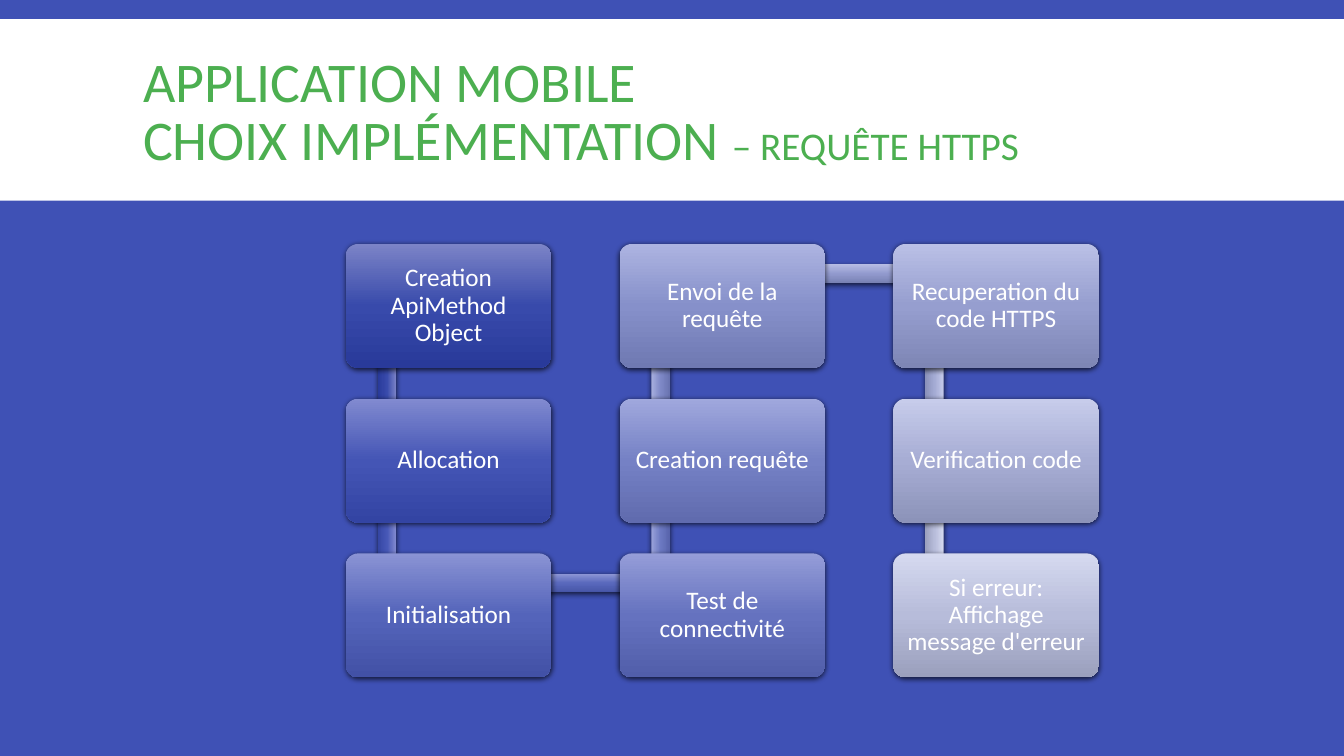
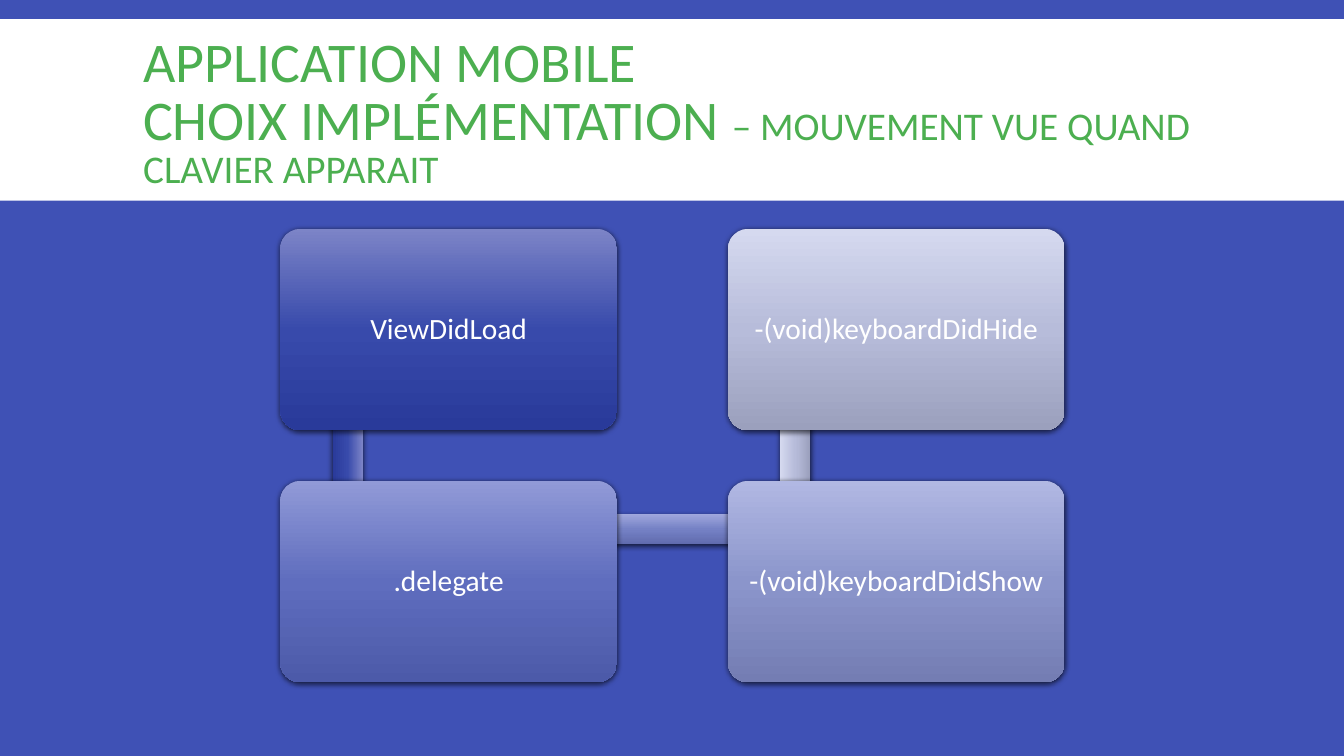
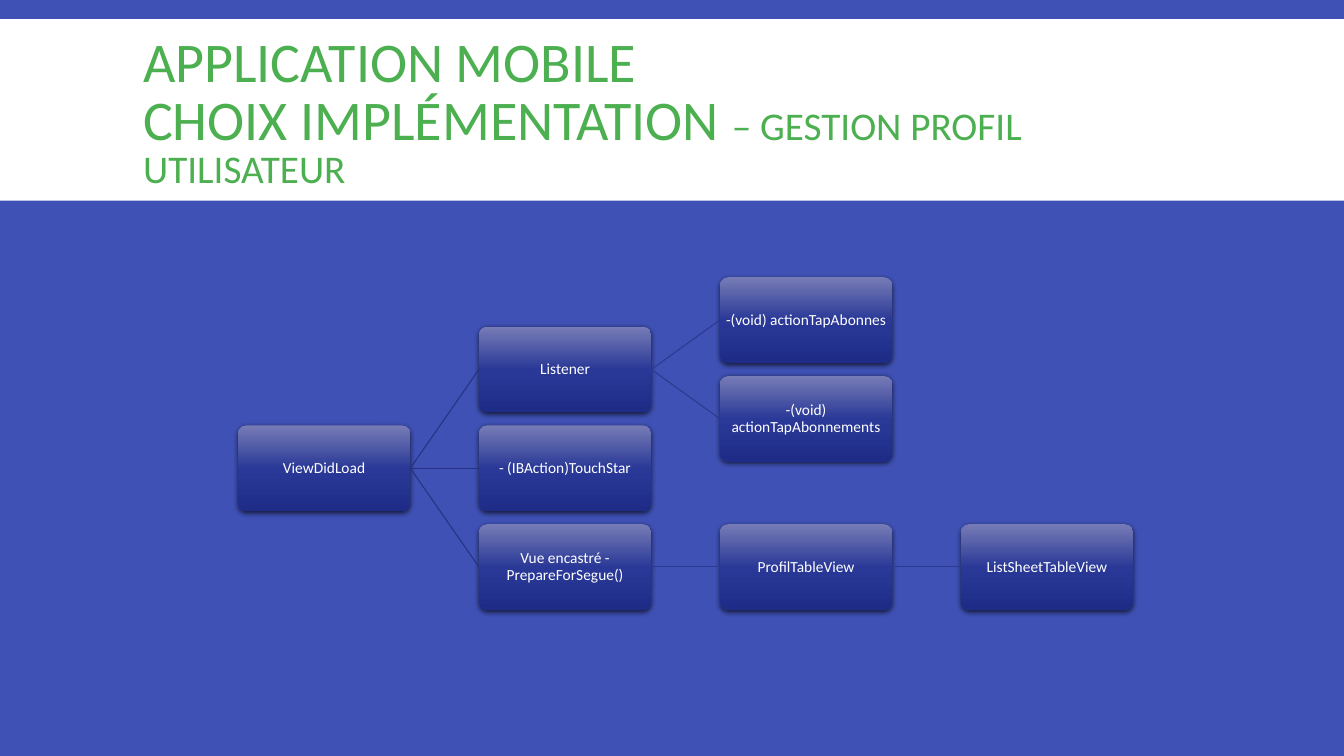
"""Three slides on the choices made in a mobile application."""
import copy
import math

from lxml import etree
from pptx import Presentation
from pptx import util as u
from pptx.dml.color import RGBColor
from pptx.enum import shapes, text
from pptx.oxml.ns import qn

FONT = "Calibri"
COLORS = {
    "background": "3F51B5",
    "band": "FFFFFF",
    "title": "4CAF50",
    "label": "FFFFFF",
    "shadow": "000000",
    "branch": "26327F",
    "twig": "2C3990",
}
GRADIENTS = {
    "node": ("777CB6", "2A3997", "1E2C88"),
    "first": ("7C84C7", "384AAB", "293A9A"),
    "last": ("D5D9EF", "B7BCDA", "9BA0BD"),
    "allocation": ("818AD0", "4455B5", "3344A3"),
    "initialisation": ("8A93D4", "5464BA", "4251A6"),
    "test": ("959DD8", "6572BF", "515EAA"),
    "creation": ("A0A8DD", "7581C5", "606BAE"),
    "envoi": ("ADB4E1", "8690CA", "6F79B2"),
    "code": ("BAC0E6", "969ECF", "7E86B5"),
    "verification": ("C7CCEB", "A7ADD4", "8C93B9"),
    "delegate": ("919AD7", "5F6DBE", "4C5AA9"),
    "show": ("B1B8E3", "8B95CB", "747DB3"),
    "to_initialisation": ("838BD0", "4657B6", "3546A3"),
    "to_test": ("8D96D5", "5968BC", "4655A7"),
    "to_creation": ("99A2DA", "6C79C2", "5864AC"),
    "to_envoi": ("A7AFDF", "7F89C7", "6973B0"),
    "to_code": ("B6BCE4", "929ACE", "7982B4"),
    "to_verification": ("C5CAEA", "A4ABD4", "8A91B9"),
}
TITLE_BOX = (1.32, 0.31, 10.7, 1.65)
BAND_BOX = (0, 0.19, 13.33, 1.8)

REQUEST_STEPS = [
    ("Creation ApiMethod Object", 0, 0, "first", "first"),
    ("Allocation", 0, 1, "allocation", "to_initialisation"),
    ("Initialisation", 0, 2, "initialisation", "to_test"),
    ("Test de connectivité", 1, 2, "test", "to_creation"),
    ("Creation requête", 1, 1, "creation", "to_envoi"),
    ("Envoi de la requête", 1, 0, "envoi", "to_code"),
    ("Recuperation du code HTTPS", 2, 0, "code", "to_verification"),
    ("Verification code", 2, 1, "verification", "last"),
    ("Si erreur: Affichage message d'erreur", 2, 2, "last", None),
]
KEYBOARD_STEPS = [
    ("ViewDidLoad", 0, 0, "first", "first"),
    (".delegate", 0, 1, "delegate", "creation"),
    ("-(void)keyboardDidShow", 1, 1, "show", "last"),
    ("-(void)keyboardDidHide", 1, 0, "last", None),
]
PROFILE_NODES = [
    ("ViewDidLoad", 0, 3, None),
    ("Listener", 1, 1, "ViewDidLoad"),
    ("-(void) actionTapAbonnes", 2, 0, "Listener"),
    ("-(void) actionTapAbonnements", 2, 2, "Listener"),
    ("- (IBAction)TouchStar", 1, 3, "ViewDidLoad"),
    ("Vue encastré - PrepareForSegue()", 1, 5, "ViewDidLoad"),
    ("ProfilTableView", 2, 5, "Vue encastré - PrepareForSegue()"),
    ("ListSheetTableView", 3, 5, "ProfilTableView"),
]


def rgb(name):
    """Return the named colour."""
    return RGBColor.from_string(COLORS[name])


def inches(*lengths):
    """Convert lengths to Inches."""
    return [u.Inches(length) for length in lengths]


def assign(target, **values):
    """Set each format value on the target."""
    for name, value in values.items():
        setattr(target, name, value)


def style_font(font, size, color):
    """Set the font, size and colour of some text."""
    assign(font, name=FONT, size=u.Pt(size))
    font.color.rgb = rgb(color)


def add_glossy(slide, preset, box, gradient):
    """Add a shape with a three-stop vertical gradient and a soft shadow."""
    shape = slide.shapes.add_shape(preset, *inches(*box))
    shape.line.fill.background()
    shape.fill.gradient()
    shape.fill.gradient_angle = 270
    stop_list = shape.element.spPr.find(".//" + qn("a:gsLst"))
    stop_list.append(copy.deepcopy(stop_list[-1]))
    for index, stop in enumerate(shape.fill.gradient_stops):
        stop.position = index / 2
        stop.color.rgb = RGBColor.from_string(GRADIENTS[gradient][index])
    shape.shadow.inherit = False
    effects = shape.element.spPr.find(qn("a:effectLst"))
    shadow = etree.SubElement(effects, qn("a:outerShdw"), blurRad="50800",
                              dist="15240", dir="5400000", rotWithShape="0")
    shade = etree.SubElement(shadow, qn("a:srgbClr"), val=COLORS["shadow"])
    etree.SubElement(shade, qn("a:alpha"), val="68000")
    return shape


def add_card(slide, box, label, gradient, size, inset):
    """Add a rounded card with a centred label."""
    card = add_glossy(slide, shapes.MSO_SHAPE.ROUNDED_RECTANGLE, box, gradient)
    card.adjustments[0] = 0.1
    frame = card.text_frame
    margin = u.Inches(inset)
    assign(frame, word_wrap=True, vertical_anchor=text.MSO_ANCHOR.MIDDLE,
           margin_left=margin, margin_right=margin,
           margin_top=margin, margin_bottom=margin)
    paragraph = frame.paragraphs[0]
    assign(paragraph, alignment=text.PP_ALIGN.CENTER, line_spacing=0.9)
    run = paragraph.add_run()
    run.text = label
    style_font(run.font, size, "label")
    return card


def grid_boxes(region, card_size, cells):
    """Return the box of each (column, row) cell spread over the region."""
    left, top, width, height = region
    card_width, card_height = card_size
    column_step = (width - card_width) / max(column for column, _ in cells)
    row_step = (height - card_height) / max(row for _, row in cells)
    return [(left + column * column_step, top + row * row_step,
             card_width, card_height) for column, row in cells]


def add_bar(slide, start, end, gradient):
    """Add the bar that leads from one card to the next, behind both."""
    width, height = start[2:]
    across, down = end[0] - start[0], end[1] - start[1]
    length, thickness = math.hypot(across, down), 0.09 * width
    middle_x = start[0] + 0.2 * width + across / 2
    middle_y = start[1] + 0.24 * height + down / 2
    bar = add_glossy(slide, shapes.MSO_SHAPE.RECTANGLE,
                     (middle_x - length / 2, middle_y - thickness / 2,
                      length, thickness), gradient)
    bar.rotation = math.degrees(math.atan2(down, across)) % 360


def add_snake(slide, region, card_size, steps, size, inset):
    """Add a winding process that fills the region."""
    boxes = grid_boxes(region, card_size, [step[1:3] for step in steps])
    for step, start, end in zip(steps, boxes, boxes[1:]):
        add_bar(slide, start, end, step[4])
    for (label, _, _, gradient, _), box in zip(steps, boxes):
        add_card(slide, box, label, gradient, size, inset)


def add_tree(slide, region, card_size, nodes, size, inset):
    """Add a tree that grows rightwards and fills the region."""
    boxes = grid_boxes(region, card_size, [node[1:3] for node in nodes])
    cards = {}
    for (label, column, _, parent), box in zip(nodes, boxes):
        cards[label] = add_card(slide, box, label, "node", size, inset)
        if parent is None:
            continue
        branch = slide.shapes.add_connector(
            shapes.MSO_CONNECTOR.STRAIGHT, 0, 0, 0, 0)
        branch.begin_connect(cards[parent], 3)
        branch.end_connect(cards[label], 1)
        branch.line.width = u.Pt(0.75)
        branch.line.color.rgb = rgb("branch" if column == 1 else "twig")
        etree.SubElement(branch.element.spPr, qn("a:effectLst"))


def set_up_layout(prs):
    """Give the title-only layout its background and title place."""
    layout = prs.slide_layouts.get_by_name("Title Only")
    layout.background.fill.solid()
    layout.background.fill.fore_color.rgb = rgb("background")
    heading = layout.placeholders[0]
    left, top, width, height = inches(*TITLE_BOX)
    assign(heading, left=left, top=top, width=width, height=height)
    title_style = prs.slide_master.element.xpath(
        "p:txStyles/p:titleStyle//a:defRPr")[0]
    title_style.set("sz", "4000")
    return layout


def add_band(layout, slide):
    """Draw the title band and place it at the back of the layout."""
    band = slide.shapes.add_shape(shapes.MSO_SHAPE.RECTANGLE,
                                  *inches(*BAND_BOX))
    band.shadow.inherit = False
    band.fill.solid()
    band.fill.fore_color.rgb = rgb("band")
    band.line.fill.background()
    layout.shapes.element.insert(2, band.element)


def add_titled_slide(prs, layout, topic):
    """Add a slide with the shared title followed by its topic."""
    slide = prs.slides.add_slide(layout)
    frame = slide.shapes.title.text_frame
    assign(frame, word_wrap=True, auto_size=text.MSO_AUTO_SIZE.NONE,
           vertical_anchor=text.MSO_ANCHOR.MIDDLE)
    paragraph = frame.paragraphs[0]
    assign(paragraph, alignment=text.PP_ALIGN.LEFT, line_spacing=0.85)
    for words, size in (("APPLICATION MOBILE", 40),
                        ("CHOIX IMPLÉMENTATION ", 40),
                        (f"– {topic}", 28)):
        run = paragraph.add_run()
        run.text = words
        style_font(run.font, size, "title")
        if words == "APPLICATION MOBILE":
            paragraph.add_line_break()
    return slide


def main():
    """Build and save the presentation."""
    prs = Presentation()
    prs.slide_width, prs.slide_height = inches(13.33, 7.5)
    layout = set_up_layout(prs)

    request = add_titled_slide(prs, layout, "REQUÊTE HTTPS")
    add_band(layout, request)
    add_snake(request, (3.43, 2.42, 7.47, 4.3), (2.04, 1.23),
              REQUEST_STEPS, 18, 0.07)

    keyboard = add_titled_slide(prs, layout,
                                "MOUVEMENT VUE QUAND CLAVIER APPARAIT")
    add_snake(keyboard, (2.78, 2.27, 7.78, 4.5), (3.34, 2),
              KEYBOARD_STEPS, 21, 0.09)

    profile = add_titled_slide(prs, layout, "GESTION PROFIL UTILISATEUR")
    add_tree(profile, (2.36, 2.75, 8.88, 3.3), (1.71, 0.85),
             PROFILE_NODES, 11, 0.01)

    prs.save("out.pptx")


if __name__ == "__main__":
    main()
